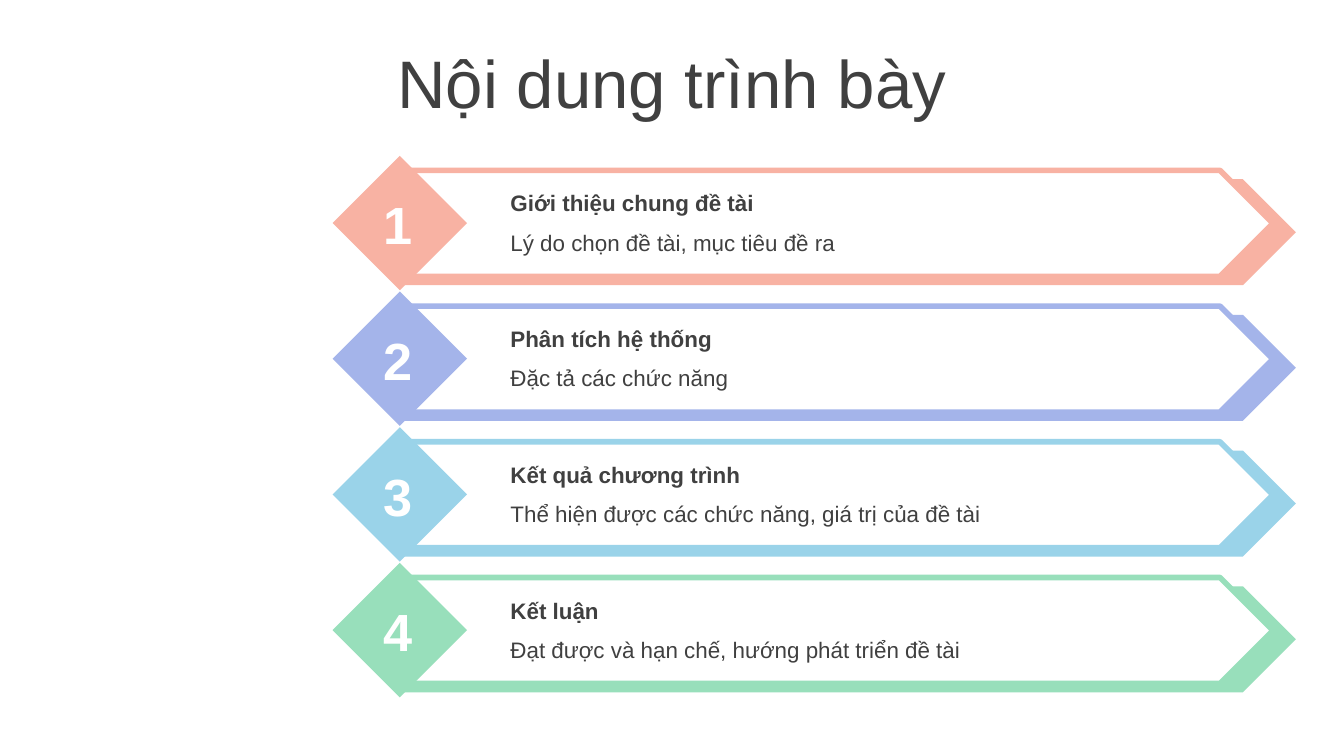
from pptx import Presentation
from pptx.dml.color import RGBColor
from pptx.enum.shapes import MSO_SHAPE
from pptx.enum.text import MSO_ANCHOR, MSO_AUTO_SIZE, PP_ALIGN
from pptx.util import Pt

ARROW, DIAMOND = MSO_SHAPE.PENTAGON, MSO_SHAPE.DIAMOND
TOP, MIDDLE = MSO_ANCHOR.TOP, MSO_ANCHOR.MIDDLE
LEFT, CENTER = PP_ALIGN.LEFT, PP_ALIGN.CENTER
FIXED = MSO_AUTO_SIZE.NONE

WHITE = RGBColor(0xFF, 0xFF, 0xFF)
DARK = RGBColor(0x40, 0x40, 0x40)
CORAL = RGBColor(0xF8, 0xB2, 0xA3)
PERIWINKLE = RGBColor(0xA4, 0xB4, 0xEA)
SKY = RGBColor(0x9A, 0xD3, 0xE9)
MINT = RGBColor(0x98, 0xDF, 0xBB)

ROW_PITCH = 72.7
AGENDA = [
    (CORAL, "Giới thiệu chung đề tài", "Lý do chọn đề tài, mục tiêu đề ra"),
    (PERIWINKLE, "Phân tích hệ thống", "Đặc tả các chức năng"),
    (SKY, "Kết quả chương trình", "Thể hiện được các chức năng, giá trị của đề tài"),
    (MINT, "Kết luận", "Đạt được và hạn chế, hướng phát triển đề tài"),
]


def write(frame, text, *, font="Arial", size=12, color=DARK, bold=False,
          align=LEFT, anchor=TOP):
    """Put one formatted paragraph into a text frame."""
    frame.word_wrap = True
    frame.auto_size = FIXED
    frame.vertical_anchor = anchor
    para = frame.paragraphs[0]
    para.alignment = align
    span = para.add_run()
    span.text = text
    span.font.name = font
    span.font.size = Pt(size)
    span.font.bold = bold
    span.font.color.rgb = color


class AgendaSlide:
    """Holds the current slide and its style."""

    def __init__(self, deck, font="Arial"):
        self.page = deck.slides.add_slide(deck.slide_layouts[5])
        self.font = font

    def title(self, text, left, top, width, height):
        box = self.page.shapes.title
        box.left, box.top, box.width, box.height = map(Pt, (left, top, width, height))
        write(box.text_frame, text, font=self.font, size=36, align=CENTER, anchor=MIDDLE)

    def shape(self, kind, left, top, width, height, fill, line=None):
        shape = self.page.shapes.add_shape(kind, *map(Pt, (left, top, width, height)))
        shape.shadow.inherit = False
        shape.fill.solid()
        shape.fill.fore_color.rgb = fill
        if line is None:
            shape.line.fill.background()
        else:
            shape.line.color.rgb = line
            shape.line.width = Pt(3)

    def text(self, text, left, top, width, height, **style):
        box = self.page.shapes.add_textbox(*map(Pt, (left, top, width, height)))
        write(box.text_frame, text, font=self.font, **style)

    def row(self, number, top, color, heading, detail):
        # Coloured arrow behind, outlined arrow in front, diamond on the left
        self.shape(ARROW, 216.2, top + 12.5, 478, 56.8, color)
        self.shape(ARROW, 216.2, top + 7.8, 465.8, 56.8, WHITE, line=color)
        self.shape(DIAMOND, 178.2, top, 72, 72, color)
        # Number and wording
        self.text(str(number), 197.3, top + 15.9, 31.7, 41, size=28, color=WHITE,
                  bold=True, align=CENTER, anchor=MIDDLE)
        self.text(heading, 266.4, top + 14.5, 374.4, 21.8, bold=True)
        self.text(detail, 266.4, top + 35.5, 374.4, 21.8)


def main():
    deck = Presentation()
    deck.slide_width, deck.slide_height = Pt(720), Pt(405)

    slide = AgendaSlide(deck)
    slide.title("Nội dung trình bày", 0, 21, 720, 45.4)
    for index, (color, heading, detail) in enumerate(AGENDA):
        slide.row(index + 1, 83.5 + index * ROW_PITCH, color, heading, detail)

    deck.save("out.pptx")


if __name__ == "__main__":
    main()
